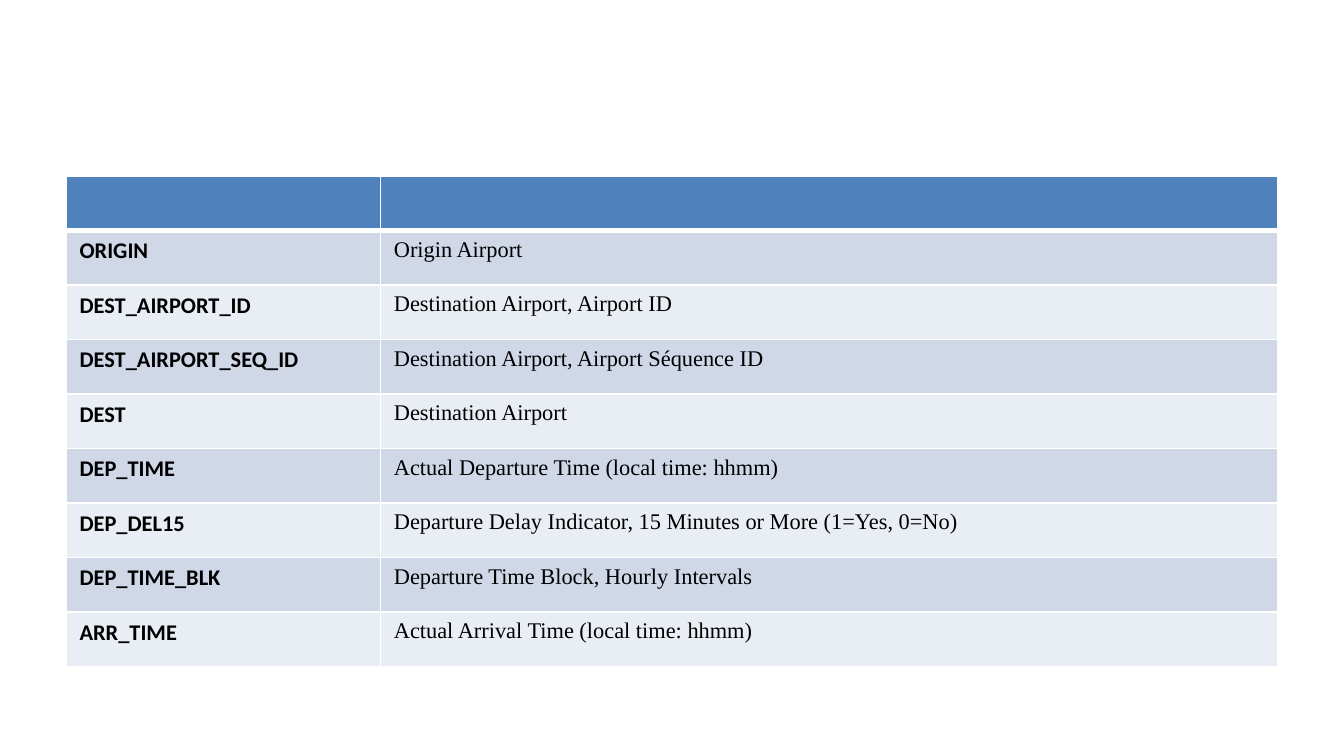
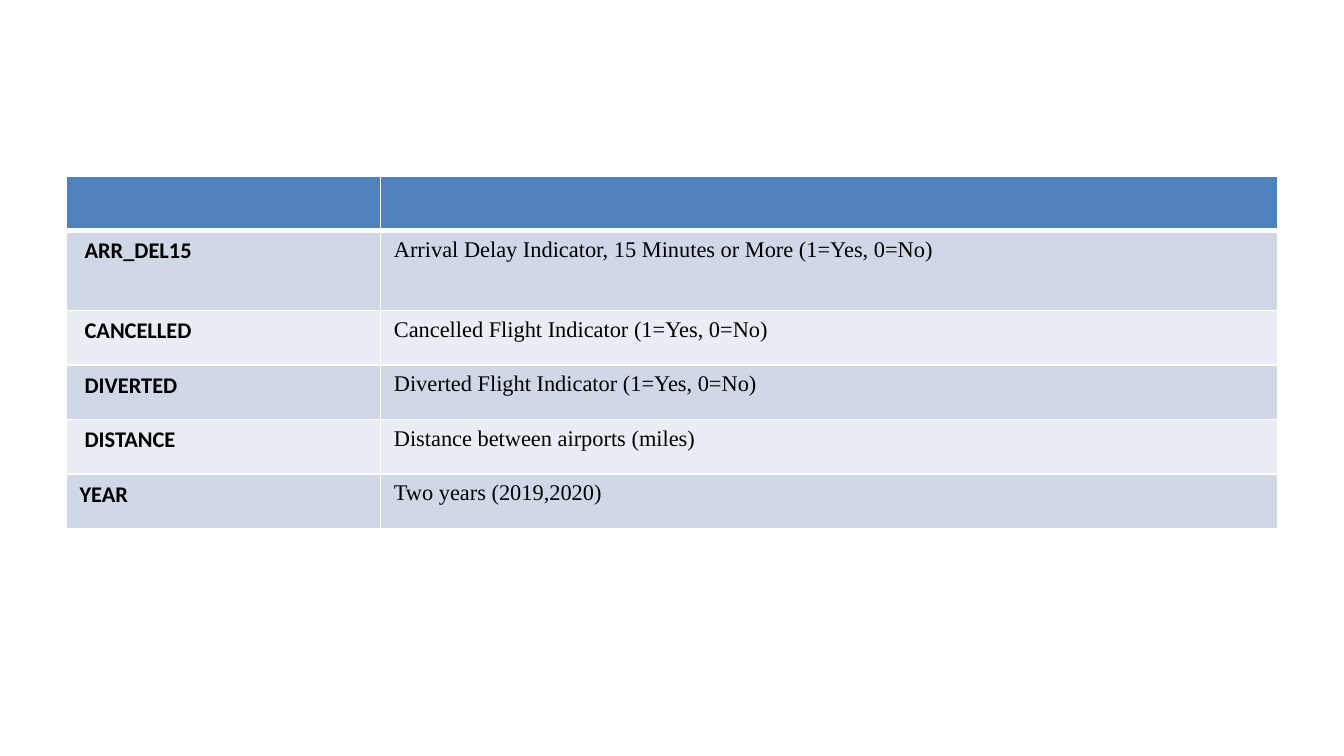
from lxml import etree
from pptx import Presentation
from pptx.dml.color import RGBColor
from pptx.oxml.ns import qn
from pptx.util import Cm, Pt

HEAD = "4F81BD"
BANDS = ["D0D8E8", "E9EDF4"]
WHITE = "FFFFFF"
BLACK = "000000"
FONTS = [("Calibri", True), ("Times New Roman", False)]
BOX = (1.25, 3.33, 22.9)
COLS = (5.94, 16.96)
ROW = 1.03
TALL = 1.51

FLIGHT = [
    ("ORIGIN", "Origin Airport"),
    ("DEST_AIRPORT_ID", "Destination Airport, Airport ID"),
    ("DEST_AIRPORT_SEQ_ID", "Destination Airport, Airport Séquence ID"),
    ("DEST", "Destination Airport"),
    ("DEP_TIME", "Actual Departure Time (local time: hhmm)"),
    ("DEP_DEL15", "Departure Delay Indicator, 15 Minutes or More (1=Yes, 0=No)"),
    ("DEP_TIME_BLK", "Departure Time Block, Hourly Intervals"),
    ("ARR_TIME", "Actual Arrival Time (local time: hhmm)"),
]
STATUS = [
    (" ARR_DEL15", "Arrival Delay Indicator, 15 Minutes or More (1=Yes, 0=No)"),
    (" CANCELLED", "Cancelled Flight Indicator (1=Yes, 0=No)"),
    (" DIVERTED", "Diverted Flight Indicator (1=Yes, 0=No)"),
    (" DISTANCE", "Distance between airports (miles)"),
    ("YEAR", "Two years (2019,2020)"),
]


def paint(fill, color):
    """Give a fill one solid hex colour."""
    fill.solid()
    fill.fore_color.rgb = RGBColor.from_string(color)


def edge(cell, top, base):
    """Draw white cell borders, with top and base widths in points."""
    props = cell._tc.get_or_add_tcPr()
    sides = [("L", 1), ("R", 1), ("T", top), ("B", base)]
    for spot, (side, width) in enumerate(sides):
        line = etree.Element(qn(f"a:ln{side}"), w=str(Pt(width)))
        solid = etree.SubElement(line, qn("a:solidFill"))
        etree.SubElement(solid, qn("a:srgbClr"), val=WHITE)
        props.insert(spot, line)


def write(cell, text, font, bold):
    """Put styled text in a body cell."""
    cell.text = text
    style = cell.text_frame.paragraphs[0].font
    style.name, style.bold, style.size = font, bold, Pt(12)
    paint(style.fill, BLACK)


def grid(slide, box, pairs, tall=()):
    """Place a field table in the box; rows listed in tall are higher."""
    left, top, width = box
    sizes = [TALL if n in tall else ROW for n in range(len(pairs) + 1)]
    frame = slide.shapes.add_table(
        len(sizes), len(COLS), Cm(left), Cm(top), Cm(width), Cm(sum(sizes)))
    table = frame.table
    for col, size in zip(table.columns, COLS):
        col.width = Cm(size)
    for n, size in enumerate(sizes):
        table.rows[n].height = Cm(size)
        for c, (font, bold) in enumerate(FONTS):
            cell = table.cell(n, c)
            paint(cell.fill, BANDS[(n - 1) % 2] if n else HEAD)
            edge(cell, 3 if n == 1 else 1, 1 if n else 3)
            if n:
                write(cell, pairs[n - 1][c], font, bold)
            else:
                cell.margin_top = cell.margin_bottom = 0


def main():
    """Build both slides and save them."""
    deck = Presentation()
    deck.slide_width, deck.slide_height = Cm(25.4), Cm(14.29)
    blank = deck.slide_layouts[6]
    for pairs, tall in [(FLIGHT, ()), (STATUS, (1,))]:
        grid(deck.slides.add_slide(blank), BOX, pairs, tall)
    deck.save("out.pptx")


if __name__ == "__main__":
    main()
